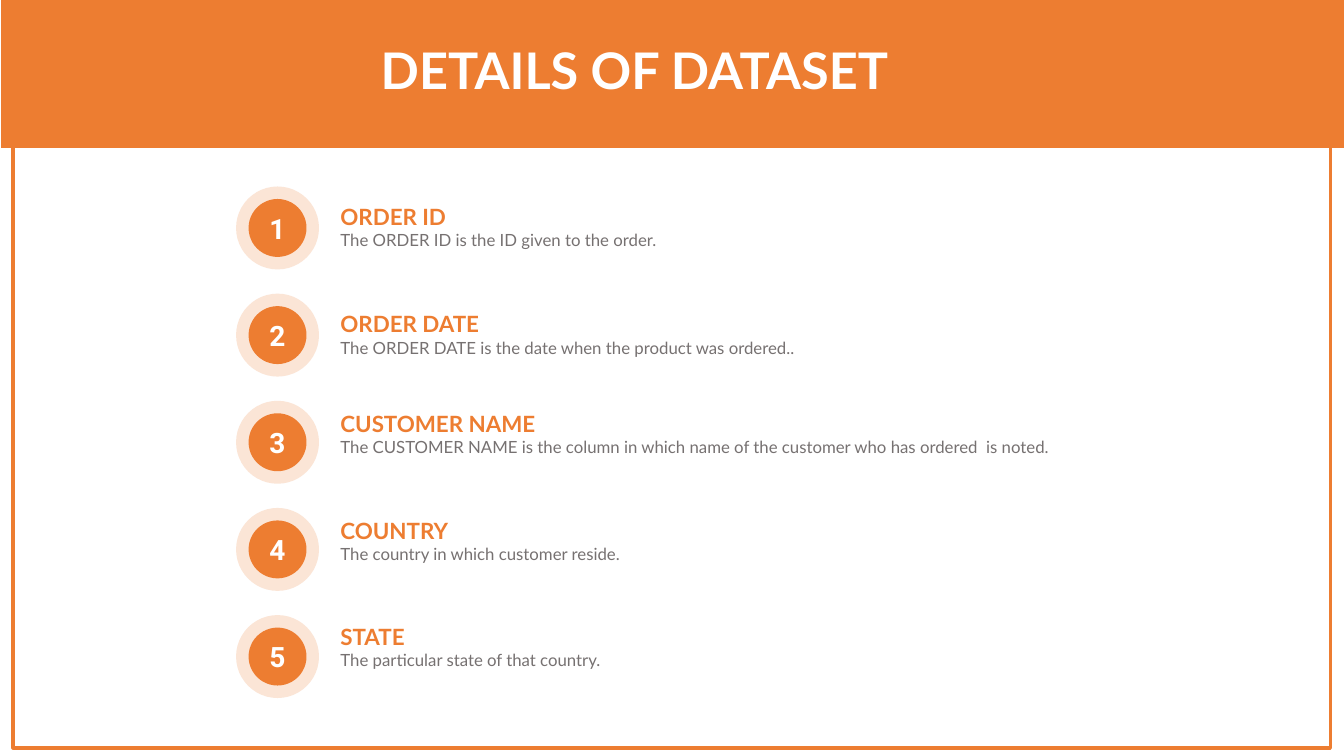
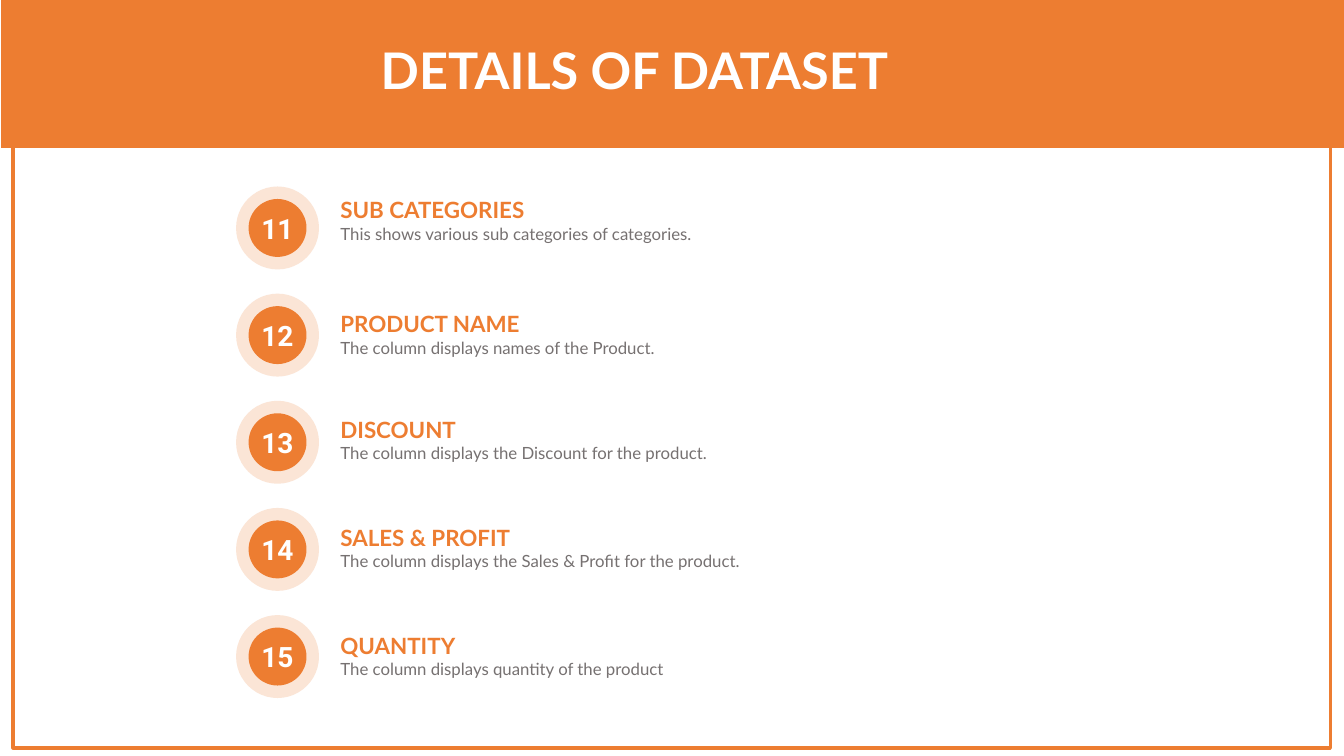
import pptx
import pptx.util
import pptx.dml.color
import pptx.enum.shapes
import pptx.enum.text

Cm = pptx.util.Cm
Pt = pptx.util.Pt
RGB = pptx.dml.color.RGBColor
KIND = pptx.enum.shapes.MSO_SHAPE
ALIGN = pptx.enum.text.PP_ALIGN
ANCHOR = pptx.enum.text.MSO_ANCHOR

# Shared style
ORANGE = RGB(0xED, 0x7D, 0x31)
PEACH = RGB(0xFB, 0xE5, 0xD6)
GREY = RGB(0x76, 0x71, 0x71)
WHITE = RGB(0xFF, 0xFF, 0xFF)
SANS = "Lato"
DIGIT = "Roboto"

# Shared places, in centimetres
WIDE, HIGH = 33.87, 19.05
FRAME = (0.33, 0.23, 33.2, 18.62)
BAND = (0.03, 0, 33.84, 3.73)
LIST = (5.95, 4.7, 24.45, 12.89)
PITCH = 2.7
RING = 2.09
DOT = 1.46
INDENT = 2.38

TITLE = "DETAILS OF DATASET"

# Each slide: first number, then rows of (heading, detail, text drop in row)
PAGES = [
    (1, [
        ("ORDER ID", "The ORDER ID is the ID given to the order.", 0.3),
        ("ORDER DATE",
         "The ORDER DATE is the date when the product was ordered..", 0.3),
        ("CUSTOMER NAME",
         "The CUSTOMER NAME is the column in which name of the customer "
         "who has ordered  is noted.", 0.11),
        ("COUNTRY", "The country in which customer reside.", 0.1),
        ("STATE", "The particular state of that country.", 0.07),
    ]),
    (11, [
        ("SUB CATEGORIES",
         "This shows various sub categories of categories.", 0.13),
        ("PRODUCT NAME", "The column displays names of the Product.", 0.3),
        ("DISCOUNT",
         "The column displays the Discount for the product.", 0.26),
        ("SALES & PROFIT",
         "The column displays the Sales & Profit for the product.", 0.28),
        ("QUANTITY", "The column displays quantity of the product", 0.3),
    ]),
]


def add_form(slide, kind, box, fill, line=None):
    form = slide.shapes.add_shape(kind, *[Cm(v) for v in box])
    form.shadow.inherit = False
    form.fill.solid()
    form.fill.fore_color.rgb = fill
    if line is None:
        form.line.fill.background()
    else:
        form.line.color.rgb = line
        form.line.width = Pt(2.25)
    return form


def add_run(para, text, size, color, bold=True, font=SANS):
    run = para.add_run()
    run.text = text
    run.font.name = font
    run.font.size = Pt(size)
    run.font.bold = bold
    run.font.color.rgb = color


def add_text(slide, box):
    frame = slide.shapes.add_textbox(*[Cm(v) for v in box]).text_frame
    frame.word_wrap = True
    return frame


def add_head(slide, box, title):
    """Colour band with the slide title."""
    left, top, wide, high = box
    add_form(slide, KIND.RECTANGLE, box, ORANGE)
    para = add_text(slide, (left + 7.16, top + 0.86, 17.6, 1.8)).paragraphs[0]
    para.alignment = ALIGN.CENTER
    add_run(para, title, 36, WHITE)


def add_badge(slide, left, top, num):
    """Numbered dot centred in a pale ring."""
    add_form(slide, KIND.OVAL, (left, top, RING, RING), PEACH)
    gap = (RING - DOT) / 2
    dot = add_form(slide, KIND.OVAL, (left + gap, top + gap, DOT, DOT), ORANGE)
    frame = dot.text_frame
    frame.word_wrap = False
    frame.vertical_anchor = ANCHOR.MIDDLE
    frame.margin_left = frame.margin_right = 0
    frame.margin_top = frame.margin_bottom = 0
    para = frame.paragraphs[0]
    para.alignment = ALIGN.CENTER
    add_run(para, str(num), 20, WHITE, font=DIGIT)


def add_list(slide, box, first, rows):
    """Numbered rows of heading and detail."""
    left, top, wide, high = box
    for i, (name, note, drop) in enumerate(rows):
        y = top + i * PITCH
        add_badge(slide, left, y, first + i)
        frame = add_text(
            slide, (left + INDENT, y + drop, wide - INDENT, DOT))
        add_run(frame.paragraphs[0], name, 16, ORANGE)
        add_run(frame.add_paragraph(), note, 12, GREY, bold=False)


def add_page(deck, first, rows):
    slide = deck.slides.add_slide(deck.slide_layouts[6])
    add_form(slide, KIND.RECTANGLE, FRAME, WHITE, ORANGE)
    add_head(slide, BAND, TITLE)
    add_list(slide, LIST, first, rows)


def main():
    deck = pptx.Presentation()
    deck.slide_width = Cm(WIDE)
    deck.slide_height = Cm(HIGH)
    for first, rows in PAGES:
        add_page(deck, first, rows)
    deck.save("out.pptx")


if __name__ == "__main__":
    main()
